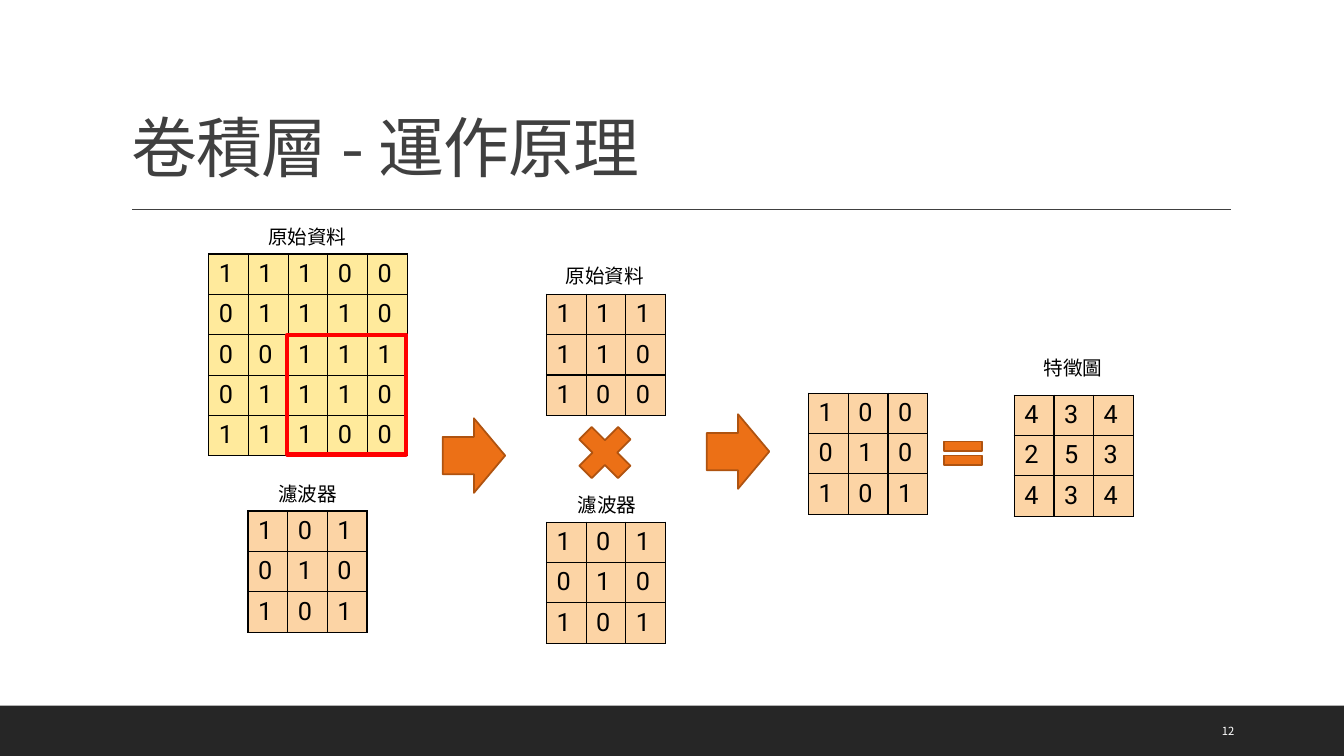
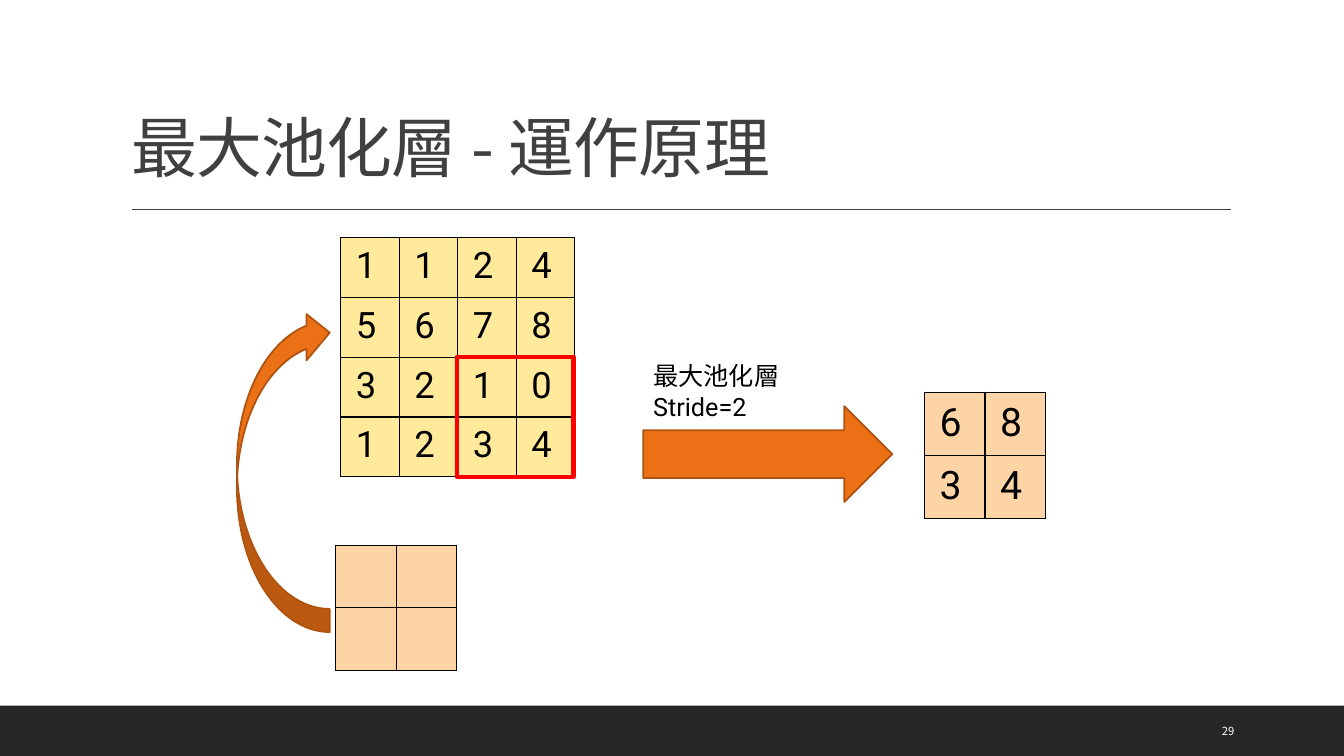
from lxml import etree
from pptx import Presentation
from pptx.dml.color import RGBColor
from pptx.enum import shapes as sh, text as tx
from pptx.oxml.ns import qn
from pptx.util import Inches, Pt

BLACK = RGBColor(0x00, 0x00, 0x00)
WHITE = RGBColor(0xFF, 0xFF, 0xFF)
GRAY = RGBColor(0x40, 0x40, 0x40)
DARK = RGBColor(0x26, 0x26, 0x26)
YELLOW = RGBColor(0xFF, 0xEA, 0x9C)
PEACH = RGBColor(0xFC, 0xD4, 0xA5)
ORANGE = RGBColor(0xEC, 0x70, 0x16)
BROWN = RGBColor(0xAF, 0x53, 0x10)
RED = RGBColor(0xFF, 0x00, 0x00)


def write(frame, words, size=14, color=BLACK, font="Roboto",
          asian="Noto Sans CJK TC", tight=0, lead=None):
    """Fill a text frame, one paragraph a line."""
    for i, line in enumerate(words.split("\n")):
        par = frame.add_paragraph() if i else frame.paragraphs[0]
        par.alignment = tx.PP_ALIGN.LEFT
        if lead:
            par.line_spacing = lead
        run = par.add_run()
        run.text = line
        run.font.size = Pt(size)
        run.font.color.rgb = color
        run.font.name = font
        props = run.font._element
        etree.SubElement(props, qn("a:ea"), typeface=asian)
        if tight:
            props.set("spc", str(int(tight * 100)))


def grid(slide, at, rows, fill=PEACH, size=18, pad=(0.1, 0.05)):
    """Draw a table of equal cells, one character a cell."""
    x, y, w, h = map(Inches, at)
    table = slide.shapes.add_table(len(rows), len(rows[0]), x, y, w, h).table
    table.first_row = table.horz_banding = False
    for col in table.columns:
        col.width = int(w / len(rows[0]))
    for r, row in enumerate(rows):
        table.rows[r].height = int(h / len(rows))
        for c, digit in enumerate(row):
            cell = table.cell(r, c)
            cell.margin_left = cell.margin_right = Inches(pad[0])
            cell.margin_top = cell.margin_bottom = Inches(pad[1])
            props = cell._tc.get_or_add_tcPr()
            for side in ("lnL", "lnR", "lnT", "lnB"):
                edge = etree.SubElement(props, qn("a:" + side), w=str(Pt(1)))
                paint = etree.SubElement(edge, qn("a:solidFill"))
                etree.SubElement(paint, qn("a:srgbClr"), val=str(BLACK))
            cell.fill.solid()
            cell.fill.fore_color.rgb = fill
            if digit.strip():
                write(cell.text_frame, digit, size=size)


deck = Presentation()
deck.slide_width, deck.slide_height = Inches(13.33), Inches(7.5)
layout = deck.slide_layouts[5]

# Shared title place
head = layout.placeholders[0]
head.left, head.top = Inches(1.2), Inches(0.31)
head.width, head.height = Inches(11), Inches(1.59)

# Slides with title and page number
pages = []
for title, number in (("卷積層 - 運作原理", "12"), ("最大池化層 - 運作原理", "29")):
    page = deck.slides.add_slide(layout)
    frame = page.shapes.title.text_frame
    frame.vertical_anchor = tx.MSO_ANCHOR.BOTTOM
    frame.auto_size = tx.MSO_AUTO_SIZE.NONE
    write(frame, title, size=47, color=GRAY, font="Noto Sans CJK SC",
          asian="Noto Sans CJK SC", tight=-0.5, lead=0.9)
    box = page.shapes.add_textbox(Inches(12.02), Inches(7.05), Inches(0.85), Inches(0.4))
    box.text_frame.word_wrap = True
    box.text_frame.vertical_anchor = tx.MSO_ANCHOR.MIDDLE
    write(box.text_frame, number, size=8, color=WHITE, font="Noto Sans CJK TC")
    pages.append(page)
conv, pool = pages

# Shared band and rule, moved to the layout
band = conv.shapes.add_shape(sh.MSO_SHAPE.RECTANGLE, 0, Inches(7), Inches(13.33), Inches(0.5))
band.shadow.inherit = False
band.fill.solid()
band.fill.fore_color.rgb = DARK
band.line.fill.background()
rule = conv.shapes.add_connector(sh.MSO_CONNECTOR.STRAIGHT, Inches(1.31), Inches(2.08),
                                 Inches(12.21), Inches(2.08))
rule.line.color.rgb = GRAY
rule.line.width = Pt(1)
etree.SubElement(rule._element.spPr, qn("a:effectLst"))
for i, part in enumerate((band, rule)):
    part._element.xpath(".//p:cNvPr")[0].set("id", str(20 + i))
    layout.shapes._spTree.insert(2 + i, part._element)

# Number grids
kernel = ["101", "010", "101"]
grid(conv, (2.07, 2.52, 1.97, 1.97), ["11100", "01110", "00111", "01110", "11100"], YELLOW)
grid(conv, (2.46, 5.07, 1.18, 1.18), kernel)
grid(conv, (5.42, 2.92, 1.18, 1.2), ["111", "110", "100"])
grid(conv, (5.42, 5.18, 1.18, 1.2), kernel)
grid(conv, (8.02, 3.9, 1.18, 1.2), ["100", "010", "101"])
grid(conv, (10.06, 3.92, 1.18, 1.2), ["434", "253", "434"])
grid(pool, (3.38, 2.36, 2.32, 2.37), ["1124", "5678", "3210", "1234"], YELLOW, 26, (0.15, 0.07))
grid(pool, (3.33, 5.41, 1.2, 1.24), ["  ", "  "])
grid(pool, (9.17, 3.89, 1.2, 1.24), ["68", "34"], PEACH, 28, (0.15, 0.08))

# Arrows and signs
kinds = sh.MSO_SHAPE
for page, kind, x, y, w, h, turn in (
    (conv, kinds.RIGHT_ARROW, 4.39, 4.15, 0.62, 0.74, 0),
    (conv, kinds.RIGHT_ARROW, 7.01, 4.11, 0.62, 0.74, 0),
    (conv, kinds.MATH_EQUAL, 9.29, 4.3, 0.52, 0.39, 0),
    (conv, kinds.MATH_MULTIPLY, 5.63, 4.12, 0.74, 0.74, 0),
    (pool, kinds.CURVED_DOWN_ARROW, 1.21, 4.21, 3.2, 0.92, 270),
    (pool, kinds.RIGHT_ARROW, 6.38, 4.03, 2.47, 0.95, 0),
):
    sign = page.shapes.add_shape(kind, Inches(x), Inches(y), Inches(w), Inches(h))
    sign.shadow.inherit = False
    sign.rotation = turn
    sign.fill.solid()
    sign.fill.fore_color.rgb = ORANGE
    sign.line.color.rgb = BROWN
    sign.line.width = Pt(1.25)

# Red windows
for page, x, y, w, h in ((conv, 2.85, 3.32, 1.18, 1.19), (pool, 4.53, 3.54, 1.16, 1.19)):
    pane = page.shapes.add_shape(kinds.RECTANGLE, Inches(x), Inches(y), Inches(w), Inches(h))
    pane.shadow.inherit = False
    pane.fill.background()
    pane.line.color.rgb = RED
    pane.line.width = Pt(3)

# Labels
for page, words, x, y, w, h, size, wrap in (
    (conv, "原始資料", 2.56, 2.18, 0.99, 0.34, 14, False),
    (conv, "濾波器", 2.66, 4.73, 0.79, 0.34, 14, False),
    (conv, "原始資料", 5.51, 2.57, 0.99, 0.34, 14, False),
    (conv, "濾波器", 5.63, 4.84, 0.79, 0.34, 14, False),
    (conv, "特徵圖", 10.25, 3.48, 0.79, 0.34, 14, False),
    (pool, "最大池化層\nStride=2", 6.38, 3.53, 1.82, 0.71, 18, True),
):
    box = page.shapes.add_textbox(Inches(x), Inches(y), Inches(w), Inches(h))
    box.text_frame.word_wrap = wrap
    box.text_frame.auto_size = tx.MSO_AUTO_SIZE.SHAPE_TO_FIT_TEXT
    write(box.text_frame, words, size=size)

deck.save("out.pptx")
